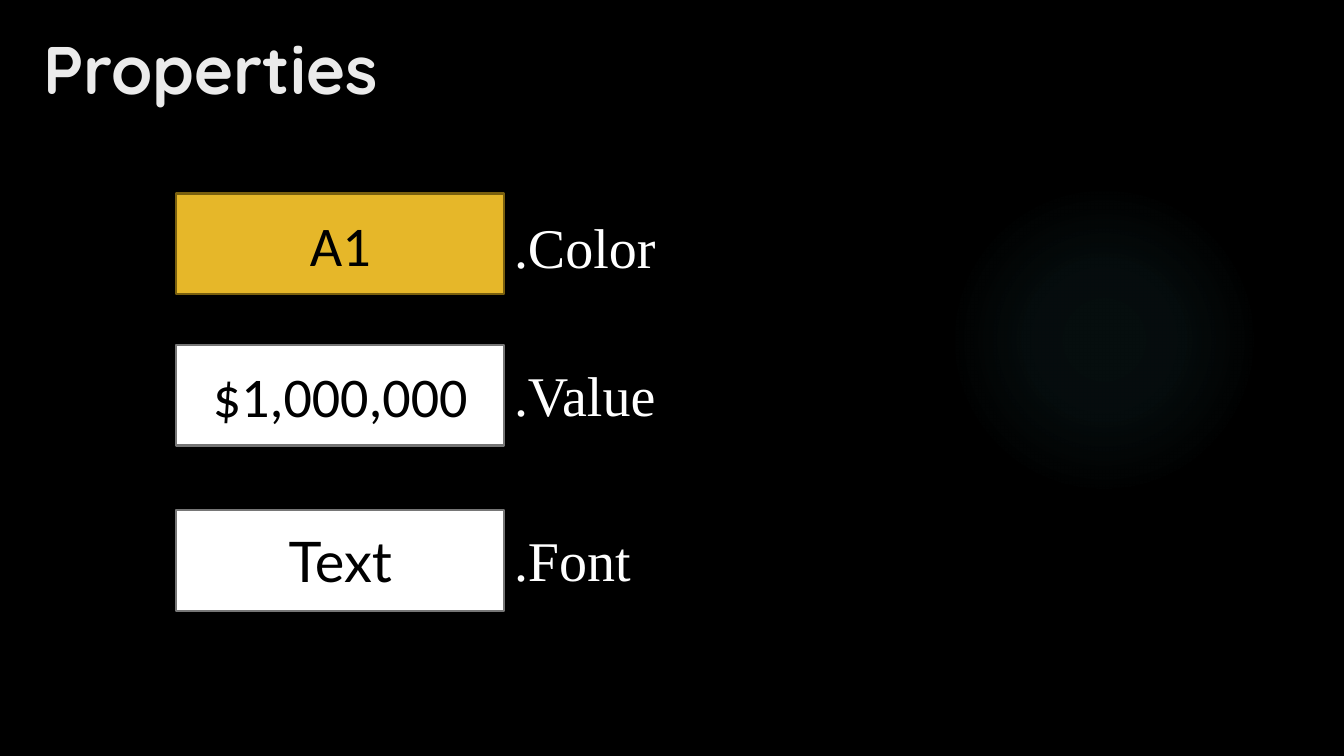
from dataclasses import dataclass

from lxml.etree import SubElement
from pptx import Presentation
from pptx.dml.color import RGBColor
from pptx.enum.shapes import MSO_SHAPE
from pptx.enum.text import MSO_ANCHOR, MSO_AUTO_SIZE, PP_ALIGN
from pptx.oxml.ns import qn
from pptx.shapes.autoshape import Shape
from pptx.shapes.shapetree import GroupShapes, SlideShapes
from pptx.slide import Slide
from pptx.util import Emu, Pt

SCALE = 9144


@dataclass(frozen=True)
class Theme:
    """Colours, fonts and type sizes of the slide."""
    back: str = "000000"
    title: str = "EBEBEB"
    label: str = "FFFFFF"
    ink: str = "000000"
    glow: str = "50B9C1"
    white: str = "FFFFFF"
    gold: str = "E6B729"
    brown: str = "795F0E"
    grey: str = "767676"
    head: str = "Quicksand"
    serif: str = "Times New Roman"
    sans: str = "Calibri"
    demo: str = "Lato"
    large: int = 48
    body: int = 40


THEME = Theme()


@dataclass(frozen=True)
class Row:
    """A sample cell and the property named beside it."""
    cell: str
    label: str
    top: int
    drop: int
    fill: str = THEME.white
    edge: str = THEME.grey
    font: str = THEME.sans


ROWS = (
    Row("A1", ".Color", 192, 14, THEME.gold, THEME.brown),
    Row("$1,000,000", ".Value", 342, 11),
    Row("Text", ".Font", 506, 10, font=THEME.demo),
)


def px(size: int) -> Emu:
    """Turn px into EMU."""
    return Emu(size * SCALE)


def rgb(code: str) -> RGBColor:
    """Turn a hex code into a colour."""
    return RGBColor.from_string(code)


def write(shape: Shape, text: str, *, font: str, color: str,
          size: int = THEME.body, bold: bool = False,
          align: PP_ALIGN = PP_ALIGN.LEFT,
          anchor: MSO_ANCHOR = MSO_ANCHOR.TOP,
          grow: bool = False) -> None:
    """Put formatted text in a shape."""
    frame = shape.text_frame
    frame.word_wrap = True
    frame.vertical_anchor = anchor
    if grow:
        frame.auto_size = MSO_AUTO_SIZE.SHAPE_TO_FIT_TEXT
    para = frame.paragraphs[0]
    para.alignment = align
    run = para.add_run()
    run.text = text
    run.font.name = font
    run.font.size = Pt(size)
    run.font.bold = bold
    run.font.color.rgb = rgb(color)


def text_box(shapes: SlideShapes | GroupShapes, left: int, top: int,
             width: int, height: int) -> Shape:
    """Add an empty text box."""
    return shapes.add_textbox(px(left), px(top), px(width), px(height))


def draw_glow(slide: Slide) -> None:
    """Draw the faint round glow."""
    disc = slide.shapes.add_shape(
        MSO_SHAPE.OVAL, px(941), px(183), px(308), px(308))
    disc.shadow.inherit = False
    disc.line.fill.background()
    disc.fill.background()
    props = disc.element.spPr
    blank = props.find(qn("a:noFill"))
    grad = SubElement(props, qn("a:gradFill"), rotWithShape="1")
    props.replace(blank, grad)
    stops = SubElement(grad, qn("a:gsLst"))
    for spot, alpha in ((0, 7), (36, 6), (69, 0)):
        stop = SubElement(stops, qn("a:gs"), pos=str(spot * 1000))
        color = SubElement(stop, qn("a:srgbClr"), val=THEME.glow)
        SubElement(color, qn("a:alpha"), val=str(alpha * 1000))
    round_ = SubElement(grad, qn("a:path"), {"path": "circle"})
    SubElement(round_, qn("a:fillToRect"),
               dict.fromkeys("ltrb", "50000"))


def draw_row(slide: Slide, row: Row) -> None:
    """Draw a cell grouped with its label."""
    shapes = slide.shapes.add_group_shape().shapes
    cell = shapes.add_shape(
        MSO_SHAPE.RECTANGLE, px(175), px(row.top), px(325), px(100))
    cell.shadow.inherit = False
    cell.fill.solid()
    cell.fill.fore_color.rgb = rgb(row.fill)
    cell.line.color.rgb = rgb(row.edge)
    cell.line.width = Pt(1.5)
    write(cell, row.cell, font=row.font, color=THEME.ink,
          align=PP_ALIGN.CENTER, anchor=MSO_ANCHOR.MIDDLE)
    label = text_box(shapes, 500, row.top + row.drop, 217, 77)
    write(label, row.label, font=THEME.serif, color=THEME.label, grow=True)


def main() -> None:
    """Build and save the slide."""
    deck = Presentation()
    deck.slide_width, deck.slide_height = px(1333), px(750)
    slide = deck.slides.add_slide(deck.slide_layouts[6])
    slide.background.fill.solid()
    slide.background.fill.fore_color.rgb = rgb(THEME.back)
    draw_glow(slide)
    title = text_box(slide.shapes, 33, 22, 862, 145)
    write(title, "Properties", font=THEME.head, color=THEME.title,
          size=THEME.large, bold=True)
    for row in ROWS:
        draw_row(slide, row)
    deck.save("out.pptx")


if __name__ == "__main__":
    main()
